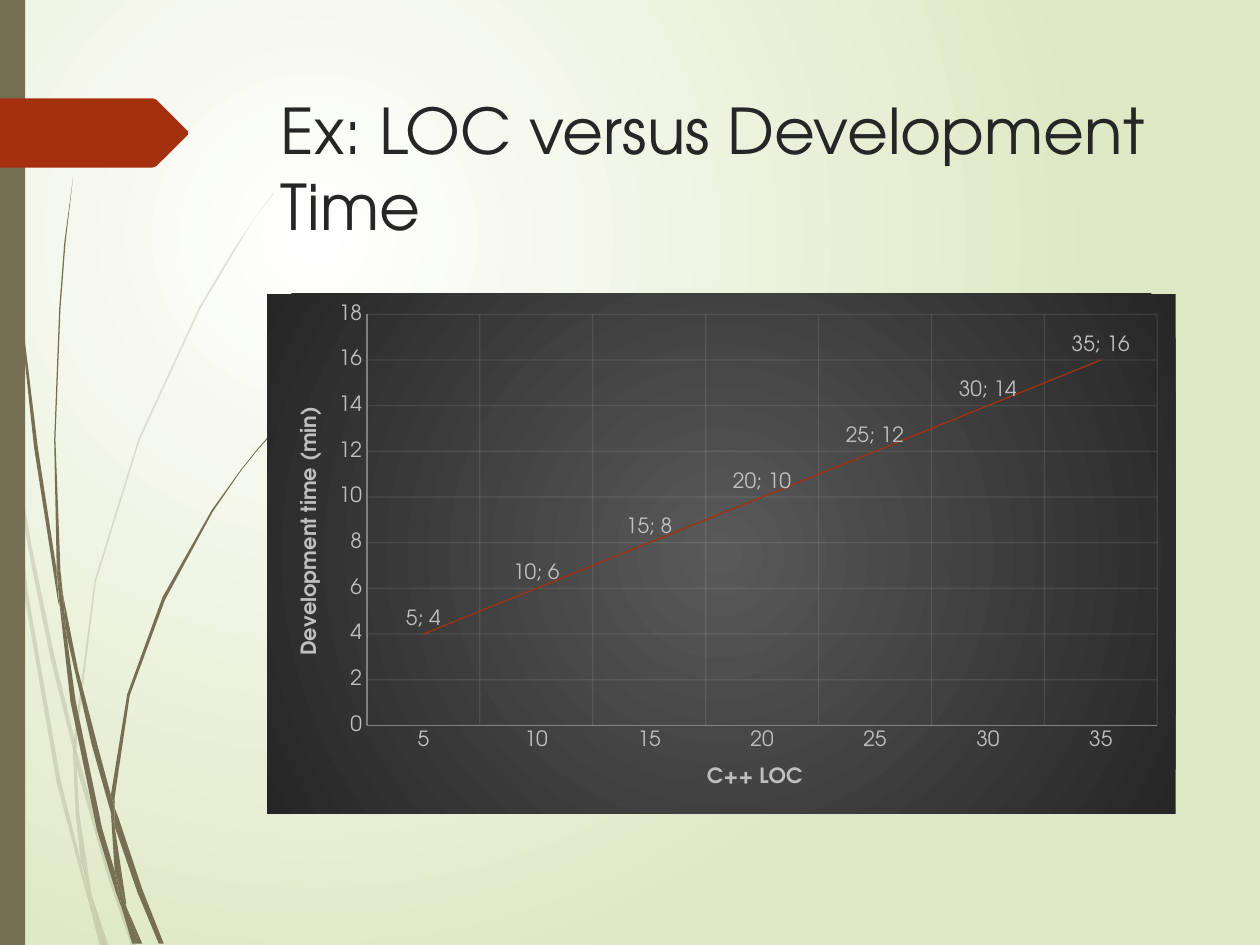
import pptx
import pptx.chart.data
import pptx.dml.color
import pptx.enum.chart
import pptx.enum.shapes
import pptx.enum.text
import pptx.oxml
import pptx.oxml.ns
import pptx.util

Inches = pptx.util.Inches
qn = pptx.oxml.ns.qn


class Theme:
    font = "TeX Gyre Adventor"
    olive, rust, ink = "766F54", "A53010", "262626"
    page = ("FFFFFF", "DFE8C4")
    panel = ("595959", "262626")
    label, axis, grid = "BFBFBF", "808080", "F2F2F2"
    head, note, rule = 36, 12, 0.75


# Blade outlines, as x y pairs in inches
PALE = [
    "0.08 3.5 0.06 3.22 0 2.82 0 2.99 0.07 3.44",
    "0.4 5.22 0.59 5.99 0.59 5.86 0.43 5.2 0.25 4.33 0.1 3.45 0.12 3.76 0.25 4.49",
    "0.64 6.07 0.61 5.96 0.61 6.1 0.85 6.94 1.04 7.5 1.08 7.5 0.88 6.92",
    "0.83 7.5 0.86 7.5 0.73 7.11",
    "0.64 6.83 0.48 6.19 0.22 4.69 0.12 3.76 0.08 3.5 0.19 4.7 0.45 6.21 0.64 6.93 0.7 7.14 0.69 7.07",
    "0.58 5.99 0.6 6.46 0.64 6.83 0.67 6.92 0.73 7.11 0.72 7.06 0.63 6.46 0.61 6.1 0.61 6.08",
    "0.61 5.84 0.76 4.62 1.11 3.49 1.59 2.45 1.87 1.98 2.01 1.75 2.17 1.54 2.17 1.53 2.01 1.75 "
    "1.86 1.97 1.58 2.44 1.1 3.48 0.75 4.61 0.59 5.84 0.59 5.86 0.61 5.96",
    "0.7 7.14 0.79 7.5 0.82 7.5",
    "0.61 6.08 0.61 6.1 0.61 5.96 0.59 5.86 0.58 5.99",
    "0.67 6.92 0.65 6.83 0.69 7.07 0.7 7.14 0.82 7.5 0.83 7.5 0.73 7.11",
]
DARK = [
    "0.05 1.1 0.14 2.33 0.27 3.55 0.46 4.77 0.47 4.81 0.45 4.57 0.45 4.53 0.3 3.55 0.15 2.32 "
    "0.06 1.09 0.04 0.48 0.03 0 0.02 0 0.03 0.48",
    "0.73 5.92 0.88 6.45 0.88 6.31 0.77 5.9 0.62 5.32 0.5 4.72 0.53 5.05",
    "0.94 6.49 0.91 6.41 0.91 6.56 1.09 7.08 1.26 7.49 1.3 7.49 1.13 7.06",
    "0.91 6.91 0.81 6.57 0.6 5.56 0.53 5.05 0.47 4.77 0.56 5.57 0.77 6.59 0.92 7.08 0.97 7.22 0.96 7.17",
    "0.5 4.72 0.48 4.53 0.44 3.49 0.48 2.45 0.52 1.93 0.58 1.41 0.51 1.93 0.47 2.45 0.43 3.49 "
    "0.45 4.49 0.49 4.72",
    "1.1 7.49 1.13 7.49 1 7.19",
    "0.47 4.77 0.53 5.05 0.5 4.72 0.49 4.72 0.45 4.49 0.45 4.53",
    "0.91 6.33 1.03 5.52 1.31 4.76 1.69 4.06 1.91 3.74 2.03 3.59 2.16 3.44 2.15 3.44 2.03 3.58 "
    "1.91 3.73 1.68 4.05 1.29 4.74 1.01 5.51 0.88 6.31 0.91 6.41",
    "0.97 7.22 1.05 7.49 1.08 7.49",
    "0.88 6.45 0.91 6.91 0.96 7.06 1 7.19 1 7.16 0.91 6.56 0.9 6.51",
    "0.88 6.45 0.9 6.51 0.91 6.56 0.91 6.41 0.88 6.31",
    "0.96 7.06 0.91 6.91 0.96 7.17 0.97 7.22 1.08 7.49 1.1 7.49 1 7.19",
]
TAG = "0 0.78 1.21 0.78 1.24 0.79 1.49 1.04 1.49 1.07 1.24 1.32 1.21 1.33 0 1.33"


def node(tag, body):
    return pptx.oxml.parse_xml(f"<{tag} {pptx.oxml.ns.nsdecls('a', 'c')}>{body}</{tag}>")


def glow(hues, far):
    stops = "".join(f'<a:gs pos="{p}"><a:srgbClr val="{h}"/></a:gs>' for p, h in zip((0, 100000), hues))
    rect = f'<a:fillToRect l="50000" t="50000" r="{far}000" b="{far}000"/>'
    return node("a:gradFill", f'<a:gsLst>{stops}</a:gsLst><a:path path="circle">{rect}</a:path>')


def place(part, index, **box):
    """Fix a chart part at fractions of the chart area."""
    for old in part.findall(qn("c:layout")):
        part.remove(old)
    inner = '<c:layoutTarget val="inner"/>' if "w" in box else ""
    modes = '<c:xMode val="edge"/><c:yMode val="edge"/>'
    sizes = "".join(f'<c:{k} val="{v}"/>' for k, v in box.items())
    part.insert(index, node("c:layout", f"<c:manualLayout>{inner}{modes}{sizes}</c:manualLayout>"))


class Deck:
    def __init__(self, look):
        self.look, self.deck = look, pptx.Presentation()
        self.deck.slide_width, self.deck.slide_height = Inches(10), Inches(7.5)
        self.slide = self.deck.slides.add_slide(self.deck.slide_layouts[5])

    def tint(self, fill, hue, clear=None):
        fill.solid()
        fill.fore_color.rgb = pptx.dml.color.RGBColor.from_string(hue)
        if clear:
            for tone in fill._xPr.iter(qn("a:srgbClr")):
                tone.append(node("a:alpha", ""))
                tone[0].set("val", f"{clear}000")

    def type(self, font, size, hue, bold=False):
        font.name, font.size, font.bold = self.look.font, pptx.util.Pt(size), bold
        font.color.rgb = pptx.dml.color.RGBColor.from_string(hue)

    def stroke(self, line, hue, clear=None):
        line.width = pptx.util.Pt(self.look.rule)
        self.tint(line.fill, hue, clear)

    def paint(self, shape, hue, clear=None):
        shape.shadow.inherit = False
        shape.line.fill.background()
        self.tint(shape.fill, hue, clear)

    def back(self):
        self.slide.background.fill.solid()
        base = self.slide.element.find(".//" + qn("p:bgPr"))
        base.replace(base[0], glow(self.look.page, 100))

    def shape(self, text, hue, clear=None, home=None):
        nums = [Inches(float(n)) for n in text.split()]
        spots = list(zip(nums[::2], nums[1::2]))
        pen = (home or self.slide).shapes.build_freeform(*spots[0])
        pen.add_line_segments(spots[1:], close=True)
        self.paint(pen.convert_to_shape(), hue, clear)

    def grass(self, blades, clear=None):
        group = self.slide.shapes.add_group_shape()
        for blade in blades:
            self.shape(blade, self.look.olive, clear, group)

    def bar(self, *box):
        kind = pptx.enum.shapes.MSO_SHAPE.RECTANGLE
        self.paint(self.slide.shapes.add_shape(kind, *map(Inches, box)), self.look.olive)

    def title(self, text, *box):
        head = self.slide.shapes.title
        head.left, head.top, head.width, head.height = map(Inches, box)
        frame = head.text_frame
        frame.text, frame.word_wrap = text, True
        frame.auto_size = pptx.enum.text.MSO_AUTO_SIZE.NONE
        frame.vertical_anchor = pptx.enum.text.MSO_ANCHOR.TOP
        frame.paragraphs[0].alignment = pptx.enum.text.PP_ALIGN.LEFT
        self.type(frame.paragraphs[0].runs[0].font, self.look.head, self.look.ink)

    def axis(self, axis, text, x, y):
        look = self.look
        axis.has_major_gridlines = True
        axis.major_tick_mark = axis.minor_tick_mark = pptx.enum.chart.XL_TICK_MARK.NONE
        self.stroke(axis.major_gridlines.format.line, look.grid, 10)
        self.stroke(axis.format.line, look.axis)
        self.type(axis.tick_labels.font, look.note, look.label)
        frame = axis.axis_title.text_frame
        frame.text = text
        self.type(frame.paragraphs[0].runs[0].font, look.note, look.label, True)
        place(axis.axis_title._element, 1, x=x, y=y)

    def chart(self, cats, vals, *box):
        look, enum = self.look, pptx.enum.chart
        data = pptx.chart.data.CategoryChartData()
        data.categories = cats
        data.add_series("Series 1", vals)
        chart = self.slide.shapes.add_chart(enum.XL_CHART_TYPE.LINE, *map(Inches, box), data).chart
        chart.has_legend = chart.has_title = False
        self.type(chart.font, look.note, look.label)
        space = chart._chartSpace
        panel = node("c:spPr", "<a:ln><a:noFill/></a:ln>")
        panel.insert(0, glow(look.panel, 50))
        space.find(qn("c:chart")).addnext(panel)
        place(space.find(".//" + qn("c:plotArea")), 0, x=0.11, y=0.04, w=0.87, h=0.79)
        # Axes
        self.axis(chart.category_axis, "C++ LOC", 0.48, 0.9)
        self.axis(chart.value_axis, "Development time (min)", 0.03, 0.21)
        rise = chart.value_axis
        rise.minimum_scale, rise.maximum_scale, rise.major_unit = 0, 18, 2
        # Line and its labels
        chart.plots[0].vary_by_categories = False
        line = chart.plots[0].series[0]
        line.smooth, line.marker.style = False, enum.XL_MARKER_STYLE.NONE
        self.stroke(line.format.line, look.rust)
        tags = line.data_labels
        tags.show_value = tags.show_category_name = True
        tags.position = enum.XL_LABEL_POSITION.ABOVE
        self.type(tags.font, look.note, look.label)
        tags._element.find(qn("c:showBubbleSize")).addnext(node("c:separator", "; "))


def main():
    deck = Deck(Theme)
    # Backdrop
    deck.back()
    deck.grass(PALE, 20)
    deck.grass(DARK)
    deck.bar(0, 0, 0.2, 7.5)
    deck.shape(TAG, Theme.rust)
    # Content
    deck.title("Ex: LOC versus Development Time", 2.13, 0.68, 7.21, 1.4)
    deck.chart([str(n) for n in range(5, 36, 5)], range(4, 17, 2), 2.12, 2.33, 7.21, 4.13)
    deck.deck.save("out.pptx")


if __name__ == "__main__":
    main()
